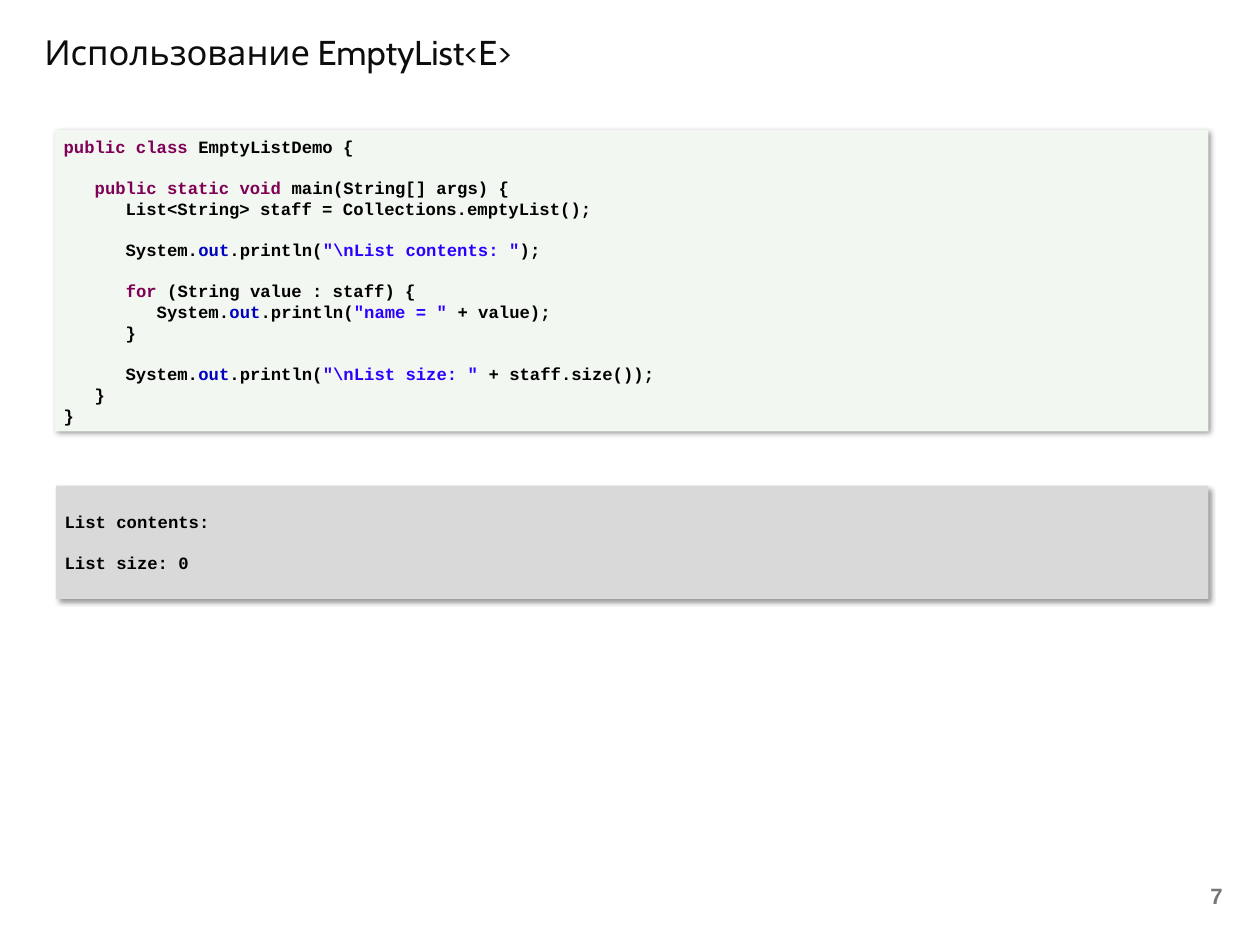
from lxml.etree import SubElement
from pptx import Presentation
from pptx.dml.color import RGBColor
from pptx.enum.shapes import MSO_SHAPE
from pptx.enum.text import MSO_ANCHOR, PP_ALIGN
from pptx.oxml.ns import qn
from pptx.util import Pt

# Content: each line is a list of (text, colour name) pieces, [] is an empty line
TITLE = "Использование EmptyList<E>"
PAGE_NUMBER = "7"


def print_line(indent, literal, ending):
    return [(indent + "System.", "plain"), ("out", "field"), (".println(", "plain"),
            (literal, "string"), (ending, "plain")]


CODE = [
    [("public class", "keyword"), (" EmptyListDemo {", "plain")],
    [],
    [("   ", "plain"), ("public static void", "keyword"), (" main(String[] args) {", "plain")],
    [("      List<String> staff = Collections.emptyList();", "plain")],
    [],
    print_line("      ", r'"\nList contents: "', ");"),
    [],
    [("      ", "plain"), ("for", "keyword"), (" (String value : staff) {", "plain")],
    print_line("         ", '"name = "', " + value);"),
    [("      }", "plain")],
    [],
    print_line("      ", r'"\nList size: "', " + staff.size());"),
    [("   }", "plain")],
    [("}", "plain")],
]
OUTPUT = [[("List contents:", "plain")], [], [("List size: 0", "plain")]]

# Formats, lengths in points
COLORS = {"title": "0D0D0D", "number": "777777", "plain": "000000", "keyword": "7F0055",
          "field": "0000C0", "string": "2A00FF", "code": "F2F7F2", "output": "D9D9D9",
          "shadow": "000000"}
TITLE_FONT = {"name": "Cabin", "size": Pt(28), "bold": False}
NUMBER_FONT = {"name": "Arial", "size": Pt(18), "bold": True}
CODE_FONT = {"name": "Courier New", "size": Pt(14), "bold": True}
LINE_HEIGHT = 16.8
PANELS = [  # lines, fill, left, top, width, height
    (CODE, "code", 44.6, 105.8, 937.4, 244.8),
    (OUTPUT, "output", 45.4, 394.6, 936.7, 92.2),
]


def color(name):
    return RGBColor.from_string(COLORS[name])


def add_text(paragraph, text, font_values, color_name):
    run = paragraph.add_run()
    run.text = text
    for attribute, value in font_values.items():
        setattr(run.font, attribute, value)
    run.font.color.rgb = color(color_name)


def add_shadow(shape):
    effects = SubElement(shape.fill._xPr, qn("a:effectLst"))
    shadow = SubElement(effects, qn("a:outerShdw"), blurRad=str(Pt(4)), dist=str(Pt(3)),
                        dir=str(45 * 60000), algn="tl", rotWithShape="0")
    shade = SubElement(shadow, qn("a:srgbClr"), val=COLORS["shadow"])
    SubElement(shade, qn("a:alpha"), val="40000")


def add_panel(slide, lines, fill, *box):
    shape = slide.shapes.add_shape(MSO_SHAPE.RECTANGLE, *map(Pt, box))
    shape.fill.solid()
    shape.fill.fore_color.rgb = color(fill)
    shape.line.fill.background()
    add_shadow(shape)
    frame = shape.text_frame
    frame.word_wrap = True
    frame.vertical_anchor = MSO_ANCHOR.MIDDLE
    # An empty line becomes space before the next paragraph
    paragraph, gap = frame.paragraphs[0], 0
    for index, line in enumerate(lines):
        if not line:
            gap += LINE_HEIGHT
            continue
        if index:
            paragraph = frame.add_paragraph()
        paragraph.alignment = PP_ALIGN.LEFT
        paragraph.line_spacing = Pt(LINE_HEIGHT)
        paragraph.space_before = Pt(gap)
        gap = 0
        for text, color_name in line:
            add_text(paragraph, text, CODE_FONT, color_name)


def main():
    presentation = Presentation()
    presentation.slide_width, presentation.slide_height = Pt(1024), Pt(768)
    slide = presentation.slides.add_slide(presentation.slide_layouts[5])

    # Title
    title = slide.shapes.title
    title.left, title.top, title.width, title.height = map(Pt, (28.8, 21.6, 794.2, 45.4))
    title.text_frame.word_wrap = True
    title.text_frame.vertical_anchor = MSO_ANCHOR.TOP
    heading = title.text_frame.paragraphs[0]
    heading.alignment = PP_ALIGN.LEFT
    add_text(heading, TITLE, TITLE_FONT, "title")

    # Code and its console output
    for panel in PANELS:
        add_panel(slide, *panel)

    # Page number
    number = slide.shapes.add_textbox(*map(Pt, (761.8, 709.2, 239, 38.2))).text_frame
    number.word_wrap = True
    number.vertical_anchor = MSO_ANCHOR.MIDDLE
    number.paragraphs[0].alignment = PP_ALIGN.RIGHT
    add_text(number.paragraphs[0], PAGE_NUMBER, NUMBER_FONT, "number")

    presentation.save("out.pptx")


if __name__ == "__main__":
    main()
